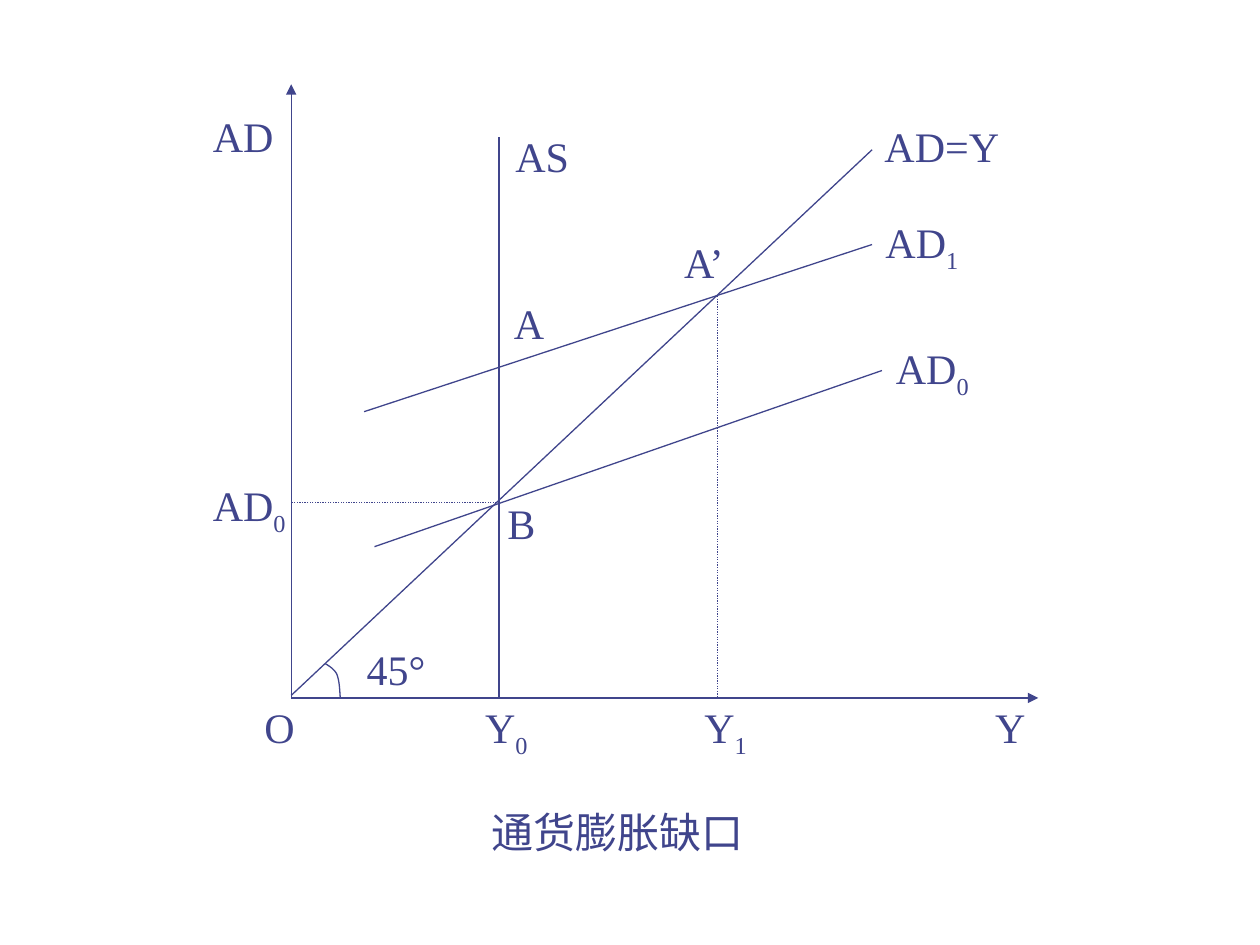
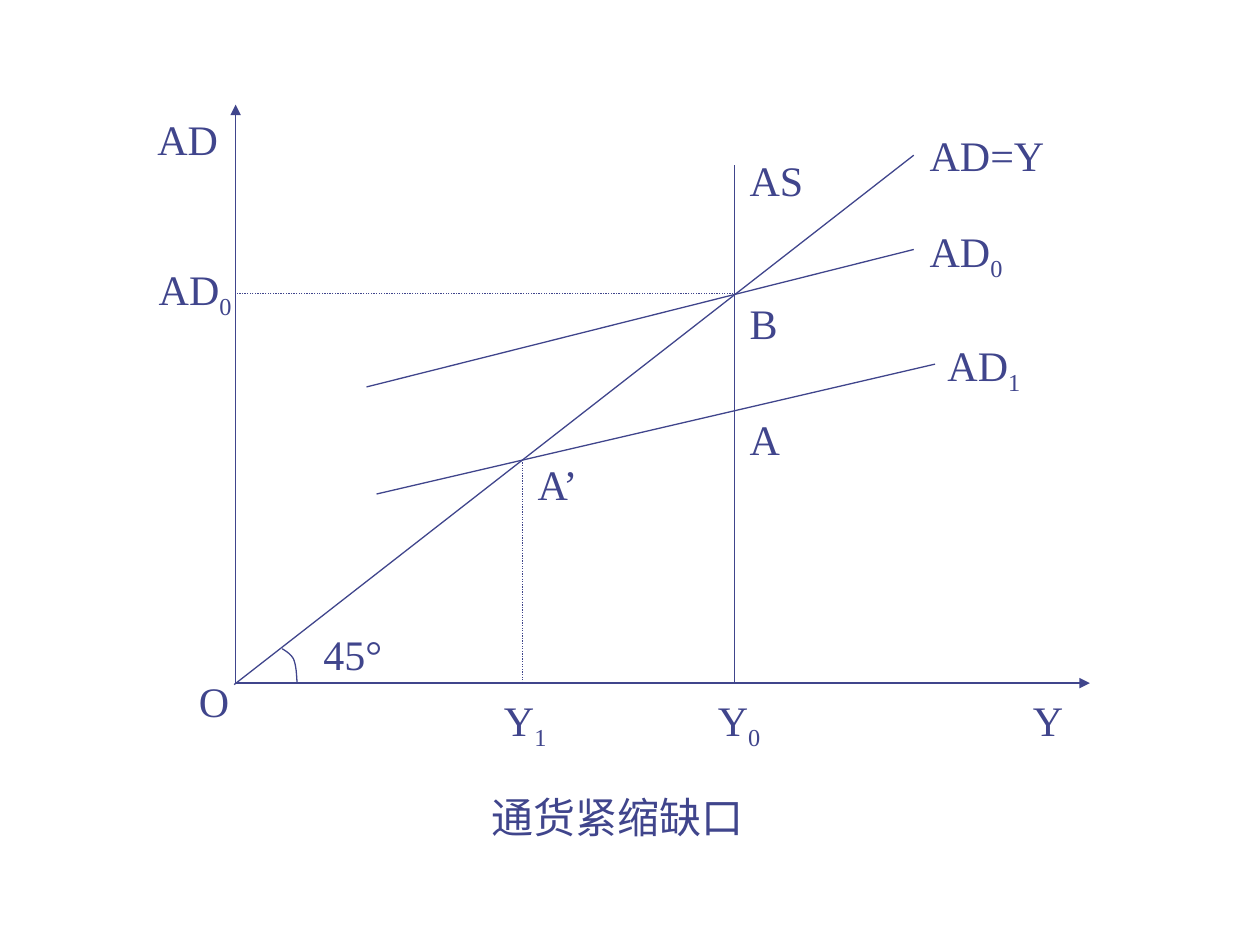
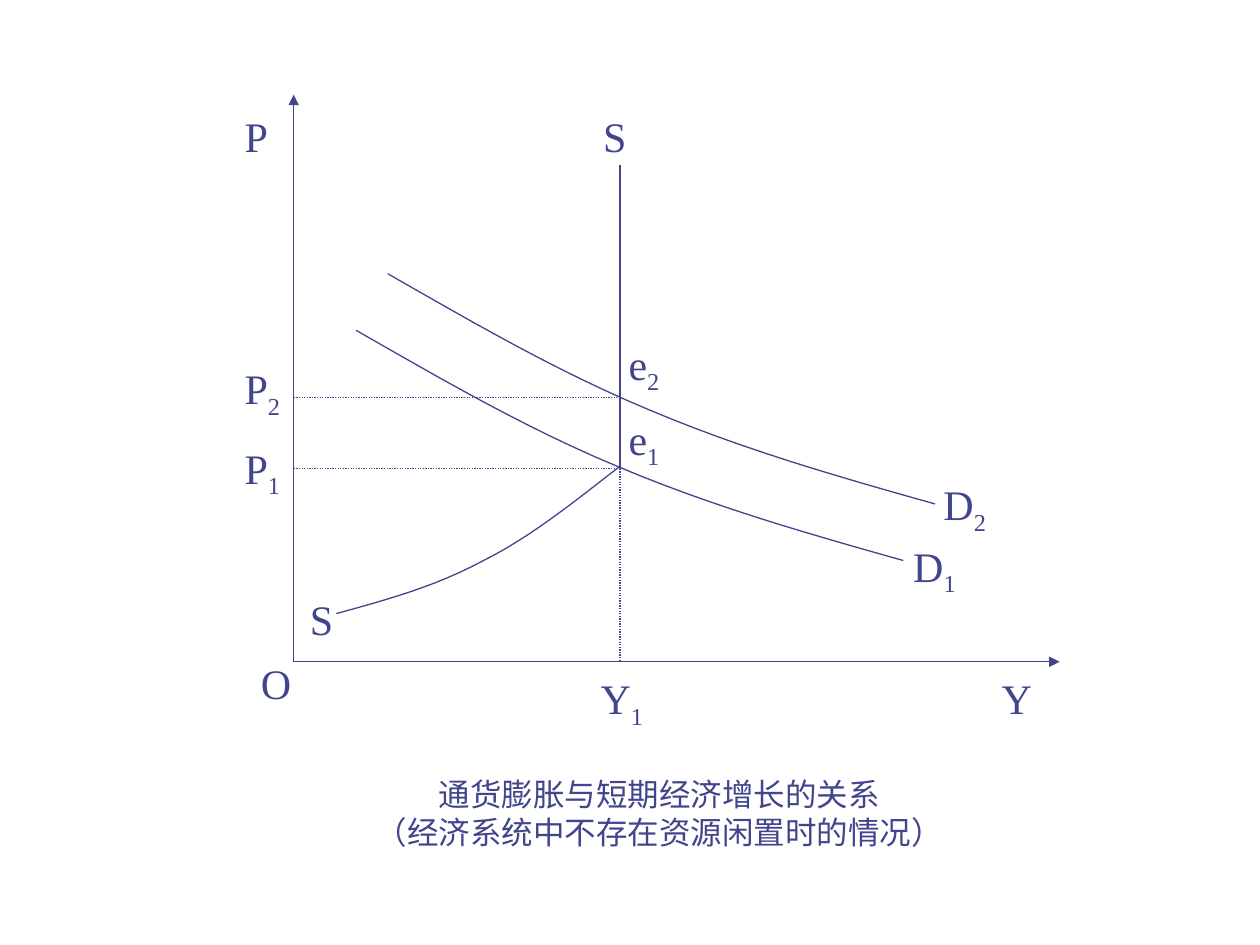
import lxml.etree
import pptx
import pptx.dml.color
import pptx.enum.dml
import pptx.enum.shapes
import pptx.enum.text
import pptx.oxml.ns
import pptx.util

Cm = pptx.util.Cm
Pt = pptx.util.Pt
ALIGN = pptx.enum.text.PP_ALIGN
AUTO_SIZE = pptx.enum.text.MSO_AUTO_SIZE

INDIGO = pptx.dml.color.RGBColor(0x40, 0x45, 0x8C)
FONT = "Times New Roman"
LINE_WIDTH = Pt(0.75)
EM = 24 * 2.54 / 72
GLYPH_EMS = {"S": 0.56, "P": 0.56, "B": 0.67, "’": 0.33, "=": 0.56,
             "e": 0.44, "4": 0.5, "5": 0.5, "°": 0.4}
CAPITAL_EMS = 0.72
SUBSCRIPT_EMS = 0.3

DEMAND = [(1.9, 7.82), (3.63, 6.83), (5.33, 5.84), (7.16, 5.08),
          (9.02, 4.29), (10.97, 3.73), (12.93, 3.18)]
DEMAND_SHIFT = (-0.64, -1.14)
SUPPLY = [(6.58, 3.94), (5.66, 3.23), (4.78, 2.51), (3.81, 2.03),
          (2.87, 1.52), (1.85, 1.24), (0.86, 0.97)]


def write_text(frame, text, size=24, align=ALIGN.LEFT, fit=AUTO_SIZE.NONE):
    """Fill a frame; a line break starts a paragraph and _ starts a subscript."""
    frame.word_wrap = False
    frame.auto_size = fit
    frame.vertical_anchor = pptx.enum.text.MSO_ANCHOR.TOP
    for index, line in enumerate(text.split("\n")):
        paragraph = frame.add_paragraph() if index else frame.paragraphs[0]
        paragraph.alignment = align
        for level, part in enumerate(line.split("_")):
            run = paragraph.add_run()
            run.text = part
            run.font.name = FONT
            run.font.size = Pt(size)
            run.font.color.rgb = INDIGO
            if level:
                run.font._element.set("baseline", "-25000")


def locate(box, point):
    """Turn a point measured right and up from the axes' origin into slide lengths."""
    left, top, _, height = box
    return Cm(left + point[0]), Cm(top + height - point[1])


def style_line(line):
    """Give a line the shared colour and width."""
    line.color.rgb = INDIGO
    line.width = LINE_WIDTH


def add_line(slide, box, start, end, dotted=False, arrow=False):
    """Draw a straight line between two plot points."""
    connector = slide.shapes.add_connector(
        pptx.enum.shapes.MSO_CONNECTOR.STRAIGHT, *locate(box, start), *locate(box, end))
    style_line(connector.line)
    if dotted:
        connector.line.dash_style = pptx.enum.dml.MSO_LINE.ROUND_DOT
    properties = connector.element.spPr
    qn = pptx.oxml.ns.qn
    if arrow:
        lxml.etree.SubElement(properties.find(qn("a:ln")), qn("a:tailEnd"), type="triangle")
    lxml.etree.SubElement(properties, qn("a:effectLst"))


def bezier_points(controls, steps=12):
    """Sample a chain of cubic curves that share their end points."""
    points = [controls[0]]
    for first in range(0, len(controls) - 1, 3):
        a, b, c, d = controls[first:first + 4]
        for step in range(1, steps + 1):
            t = step / steps
            u = 1 - t
            points.append(tuple(
                u**3 * a[i] + 3 * u * u * t * b[i] + 3 * u * t * t * c[i] + t**3 * d[i]
                for i in (0, 1)))
    return points


def add_curve(slide, box, controls, shift=(0, 0)):
    """Draw a smooth open curve, shifted by the given amounts."""
    points = [locate(box, (x + shift[0], y + shift[1])) for x, y in bezier_points(controls)]
    builder = slide.shapes.build_freeform(*points[0])
    builder.add_line_segments(points[1:], close=False)
    curve = builder.convert_to_shape()
    curve.fill.background()
    curve.shadow.inherit = False
    style_line(curve.line)


def add_label(slide, box, text, x, y):
    """Place a label whose top left corner is at a plot point."""
    base, _, subscript = text.partition("_")
    ems = sum(GLYPH_EMS.get(glyph, CAPITAL_EMS) for glyph in base)
    ems += SUBSCRIPT_EMS * len(subscript)
    label = slide.shapes.add_textbox(
        *locate(box, (x, y)), Cm(0.51 + ems * EM), Cm(1.42 if subscript else 1.27))
    write_text(label.text_frame, text, fit=AUTO_SIZE.SHAPE_TO_FIT_TEXT)


def add_caption(slide, text, left, top, width, height, **format):
    """Move the title below the plot and fill it."""
    caption = slide.shapes.title
    caption.left, caption.top = Cm(left), Cm(top)
    caption.width, caption.height = Cm(width), Cm(height)
    write_text(caption.text_frame, text, **format)


def add_plot(deck, box, solid, dotted, labels):
    """Add a slide with axes, straight lines and labels in the box."""
    slide = deck.slides.add_slide(deck.slide_layouts[5])
    _, _, width, height = box
    for tip in ((0, height), (width, 0)):
        add_line(slide, box, (0, 0), tip, arrow=True)
    for start, end in solid:
        add_line(slide, box, start, end)
    for start, end in dotted:
        add_line(slide, box, start, end, dotted=True)
    for label in labels:
        add_label(slide, box, *label)
    return slide


def add_gap_slide(deck, box, caption, caption_top, angle_left, solid, dotted, labels):
    """Add a slide on an output gap, with its 45° angle and caption."""
    slide = add_plot(deck, box, solid, dotted, labels)
    angle = [(0, 0.69), (0.08, 0.64), (0.18, 0.58), (0.23, 0.48),
             (0.28, 0.36), (0.29, 0.18), (0.3, 0)]
    add_curve(slide, box, angle, shift=(angle_left, 0))
    add_label(slide, box, "45°", angle_left + 0.58, 1.22)
    add_caption(slide, caption, 9.65, caption_top, 5.59, 1.27)


def add_growth_slide(deck, box):
    """Add the slide on inflation and short-run growth."""
    full_output, price_1, price_2 = 6.58, 3.89, 5.33
    slide = add_plot(
        deck, box,
        solid=[((full_output, 10.01), (full_output, price_1))],
        dotted=[((full_output, price_1), (full_output, 0)),
                ((full_output, price_1), (0, price_1)),
                ((full_output, price_2), (0, price_2))],
        labels=[("P", -1.24, 11.23), ("P_2", -1.24, 6.15), ("P_1", -1.24, 4.55),
                ("O", -0.91, 0.2), ("Y", 14.02, -0.1), ("Y_1", 5.94, -0.1),
                ("D_2", 12.85, 3.81), ("D_1", 12.24, 2.57),
                ("e_2", 6.5, 6.65), ("e_1", 6.5, 5.13),
                ("S", 5.99, 11.23), ("S", 0.08, 1.5)])
    add_curve(slide, box, DEMAND)
    add_curve(slide, box, DEMAND, shift=DEMAND_SHIFT)
    add_curve(slide, box, SUPPLY)
    add_caption(slide, "通货膨胀与短期经济增长的关系\n（经济系统中不存在资源闲置时的情况）",
                7.32, 15.49, 11.94, 1.78, size=18, align=ALIGN.CENTER)


def main():
    """Build and save the three slides."""
    deck = pptx.Presentation()
    deck.slide_width, deck.slide_height = Cm(25.4), Cm(19.05)
    add_gap_slide(
        deck, (5.87, 1.7, 15.06, 12.37), "通货膨胀缺口", 16.13, 0.69,
        solid=[((4.19, 11.3), (4.19, 0)),
               ((11.71, 11.05), (0, 0.05)),
               ((11.71, 9.14), (1.47, 5.77)),
               ((11.91, 6.6), (1.68, 3.05))],
        dotted=[((8.59, 8.1), (8.59, 0)), ((4.14, 3.94), (0, 3.94))],
        labels=[("O", -0.79, 0.05), ("Y", 13.94, 0.05),
                ("Y_0", 3.66, 0.05), ("Y_1", 8.08, 0.05),
                ("AD", -1.83, 11.96), ("AD_0", -1.83, 4.52),
                ("AD=Y", 11.71, 11.76), ("AD_1", 11.73, 9.83), ("AD_0", 11.94, 7.29),
                ("AS", 4.27, 11.56), ("A", 4.24, 8.2), ("A’", 7.67, 9.42),
                ("B", 4.11, 4.17)])
    add_gap_slide(
        deck, (4.75, 2.11, 17.22, 11.66), "通货紧缩缺口", 15.82, 0.94,
        solid=[((10.06, 10.44), (10.06, 0)),
               ((13.67, 10.64), (-0.03, -0.03)),
               ((13.67, 8.74), (2.64, 5.97)),
               ((14.1, 6.43), (2.84, 3.81))],
        dotted=[((5.79, 4.5), (5.79, 0)), ((10.03, 7.85), (0, 7.85))],
        labels=[("O", -0.99, 0.28), ("Y", 15.82, -0.1),
                ("Y_0", 9.47, -0.1), ("Y_1", 5.16, -0.1),
                ("AD", -1.83, 11.61), ("AD_0", -1.8, 8.59),
                ("AD=Y", 13.74, 11.28), ("AD_0", 13.74, 9.35), ("AD_1", 14.1, 7.06),
                ("AS", 10.11, 10.77), ("B", 10.11, 7.9), ("A", 10.11, 5.56),
                ("A’", 5.84, 4.65)])
    add_growth_slide(deck, (5.92, 1.91, 15.44, 11.43))
    deck.save("out.pptx")


if __name__ == "__main__":
    main()
